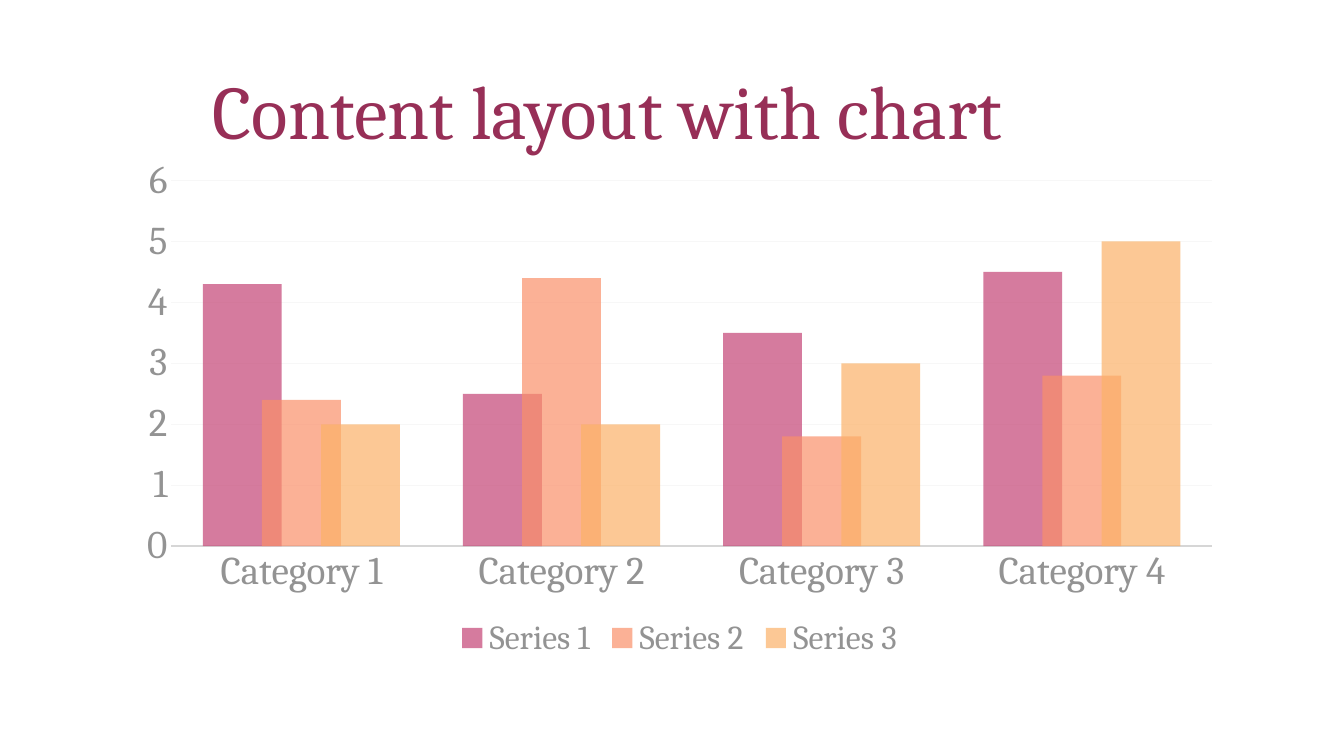
from lxml import etree
from pptx import Presentation
from pptx.chart.data import CategoryChartData
from pptx.dml.color import RGBColor
from pptx.enum.chart import XL_CHART_TYPE, XL_LEGEND_POSITION, XL_TICK_MARK
from pptx.enum.text import MSO_ANCHOR, PP_ALIGN
from pptx.oxml.ns import qn
from pptx.util import Inches, Pt

COLUMNS = XL_CHART_TYPE.COLUMN_CLUSTERED
LEGEND_BOTTOM = XL_LEGEND_POSITION.BOTTOM
NO_TICKS = XL_TICK_MARK.NONE
BOTTOM = MSO_ANCHOR.BOTTOM
LEFT = PP_ALIGN.LEFT

# Content
TITLE = "Content layout with chart"
CATEGORIES = ["Category 1", "Category 2", "Category 3", "Category 4"]
SERIES = [
    ("Series 1", (4.3, 2.5, 3.5, 4.5), RGBColor(0xC4, 0x44, 0x75)),
    ("Series 2", (2.4, 4.4, 1.8, 2.8), RGBColor(0xFA, 0x90, 0x6A)),
    ("Series 3", (2, 2, 3, 5), RGBColor(0xFC, 0xB2, 0x68)),
]

# Look
FONT = "Cambria"
PLUM = RGBColor(0x97, 0x2F, 0x57)
DARK_GRAY = RGBColor(0x59, 0x59, 0x59)
GRAY = RGBColor(0x93, 0x93, 0x93)
AXIS_GRAY = RGBColor(0xD6, 0xD6, 0xD6)
GRID_GRAY = RGBColor(0xF7, 0xF7, 0xF7)
OPACITY = 70
TITLE_BOX = [Inches(n) for n in (2.01, 0.3, 9.14, 1.3)]
CHART_BOX = [Inches(n) for n in (1.24, 1.47, 11, 5.12)]


def style_font(font, size, color):
    font.name = FONT
    font.size = Pt(size)
    font.bold = False
    font.color.rgb = color


def write_text(shape, text, size=18, color=GRAY, anchor=BOTTOM, align=LEFT, spacing=1.0):
    frame = shape.text_frame
    frame.word_wrap = True
    frame.vertical_anchor = anchor
    paragraph = frame.paragraphs[0]
    paragraph.alignment = align
    paragraph.line_spacing = spacing
    run = paragraph.add_run()
    run.text = text
    style_font(run.font, size, color)


def style_line(line, color, width):
    line.color.rgb = color
    line.width = Pt(width)


def fill_series(series, color, opacity):
    fill = series.format.fill
    fill.solid()
    fill.fore_color.rgb = color
    series.invert_if_negative = False
    for element in series.format.fill._xPr.iter(qn("a:srgbClr")):
        etree.SubElement(element, qn("a:alpha"), val=str(opacity * 1000))


def add_column_chart(slide):
    data = CategoryChartData()
    data.categories = CATEGORIES
    for name, values, _ in SERIES:
        data.add_series(name, values)
    chart = slide.shapes.add_chart(COLUMNS, *CHART_BOX, data).chart
    style_font(chart.font, 10, DARK_GRAY)
    chart.has_title = False

    # Columns
    plot = chart.plots[0]
    plot.gap_width = 80
    plot.overlap = 25
    plot.vary_by_categories = False
    for series, (_, _, color) in zip(plot.series, SERIES):
        fill_series(series, color, OPACITY)

    # Axes
    for axis in (chart.category_axis, chart.value_axis):
        axis.major_tick_mark = axis.minor_tick_mark = NO_TICKS
        style_font(axis.tick_labels.font, 28, GRAY)
    style_line(chart.category_axis.format.line, AXIS_GRAY, 1.25)
    value_axis = chart.value_axis
    value_axis.minimum_scale, value_axis.maximum_scale = 0, 6
    value_axis.major_unit = 1
    value_axis.format.line.fill.background()
    value_axis.has_major_gridlines = True
    style_line(value_axis.major_gridlines.format.line, GRID_GRAY, 0.75)

    # Legend
    chart.has_legend = True
    chart.legend.position = LEGEND_BOTTOM
    chart.legend.include_in_layout = False
    style_font(chart.legend.font, 24, GRAY)


def main():
    presentation = Presentation()
    presentation.slide_width = Inches(13.33)
    presentation.slide_height = Inches(7.5)
    slide = presentation.slides.add_slide(presentation.slide_layouts[5])

    # Title
    title = slide.shapes.title
    title.left, title.top, title.width, title.height = TITLE_BOX
    write_text(title, TITLE, size=54, color=PLUM, spacing=0.9)

    add_column_chart(slide)
    presentation.save("out.pptx")


if __name__ == "__main__":
    main()
